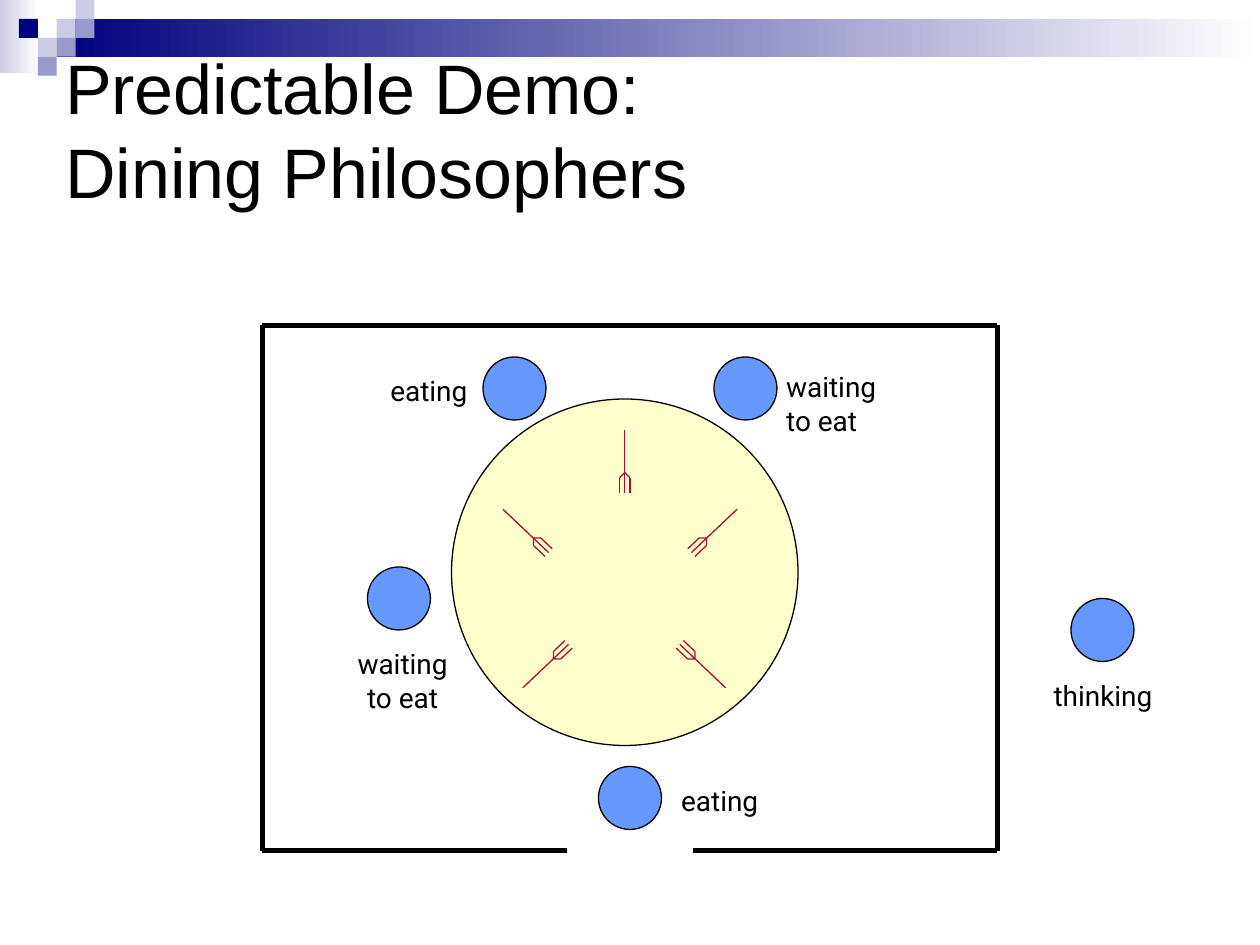
from dataclasses import dataclass
from math import cos, radians, sin

from lxml.etree import SubElement
from pptx import Presentation
from pptx.dml.color import RGBColor
from pptx.enum.shapes import MSO_CONNECTOR, MSO_SHAPE
from pptx.enum.text import MSO_ANCHOR, PP_ALIGN
from pptx.oxml.ns import qn
from pptx.util import Inches, Pt


@dataclass(frozen=True)
class Theme:
    ink: str = "000000"
    paper: str = "FFFFFF"
    navy: str = "00007D"
    mid: str = "9999CC"
    pale: str = "CCCCE6"
    table: str = "FFFFCC"
    person: str = "6699FF"
    fork: str = "AA0E37"
    title_font: str = "Arial"
    body_font: str = "Roboto"
    title_size: int = 40
    body_size: int = 16
    outline: float = 0.75
    wall: float = 3


def rgb(value):
    return RGBColor.from_string(value)


def write(tf, text, *, font, size, color, align=PP_ALIGN.LEFT, spacing=None):
    """Fill a text frame: a newline starts a paragraph, a vertical tab a line."""
    tf.text = text
    for p in tf.paragraphs:
        p.alignment = align
        p.line_spacing = spacing
        for r in p.runs:
            r.font.name = font
            r.font.size = Pt(size)
            r.font.color.rgb = rgb(color)


class Board:
    """Draws on one slide, measured in a grid of 120 columns by 90 rows."""

    COLS, ROWS = 120, 90

    def __init__(self, prs, theme):
        self.theme = theme
        self.s = prs.slides.add_slide(prs.slide_layouts[5])
        self.col = prs.slide_width / self.COLS
        self.row = prs.slide_height / self.ROWS

    def place(self, x, y, w, h):
        return (round(x * self.col), round(y * self.row),
                round(w * self.col), round(h * self.row))

    def shape(self, kind, x, y, w, h, fill, fade=None, line=None):
        sp = self.s.shapes.add_shape(kind, *self.place(x, y, w, h))
        sp.shadow.inherit = False
        if fade:
            sp.fill.gradient()
            sp.fill.gradient_angle = 0
            for stop, color in zip(sp.fill.gradient_stops, (fill, fade)):
                stop.color.rgb = rgb(color)
        else:
            sp.fill.solid()
            sp.fill.fore_color.rgb = rgb(fill)
        if line:
            sp.line.color.rgb = rgb(line)
            sp.line.width = Pt(self.theme.outline)
        else:
            sp.line.fill.background()

    def rect(self, *box, **style):
        self.shape(MSO_SHAPE.RECTANGLE, *box, **style)

    def circle(self, x, y, d, fill):
        self.shape(MSO_SHAPE.OVAL, x, y, d, d, fill, line=self.theme.ink)

    def lines(self, pairs, color, width):
        """Group straight lines, each given as two (column, row) points."""
        group = self.s.shapes.add_group_shape()
        for start, end in pairs:
            ln = group.shapes.add_connector(
                MSO_CONNECTOR.STRAIGHT, *self.place(*start, *end))
            ln.line.color.rgb = rgb(color)
            ln.line.width = Pt(width)
            SubElement(ln.element.spPr, qn("a:effectLst"))

    def fork(self, x, y, angle):
        """Draw a fork from the end of its handle, pointing along angle."""
        c, n = cos(radians(angle)), sin(radians(angle))

        def turn(along, across):
            return x + along * c - across * n, y + along * n + across * c

        neck = turn(4, 0)
        pairs = [(turn(0, 0), neck), (neck, turn(6, 0))]
        for side in (-0.5, 0.5):
            bend = turn(4.5, side)
            pairs += [(neck, bend), (bend, turn(6, side))]
        self.lines(pairs, self.theme.fork, self.theme.outline)

    def label(self, text, x, y, w, h, align=PP_ALIGN.LEFT):
        tf = self.s.shapes.add_textbox(*self.place(x, y, w, h)).text_frame
        tf.word_wrap = False
        write(tf, text, font=self.theme.body_font, size=self.theme.body_size,
              color=self.theme.ink, align=align)

    def title(self, text, x, y, w, h):
        sp = self.s.shapes.title
        self.s.shapes.element.append(sp.element)  # in front of the banner
        sp.left, sp.top, sp.width, sp.height = self.place(x, y, w, h)
        tf = sp.text_frame
        tf.word_wrap = True
        tf.vertical_anchor = MSO_ANCHOR.MIDDLE
        write(tf, text, font=self.theme.title_font, size=self.theme.title_size,
              color=self.theme.ink, spacing=Pt(48))


def main():
    prs = Presentation()
    prs.slide_width, prs.slide_height = Inches(10), Inches(7.5)
    theme = Theme()
    board = Board(prs, theme)

    # Banner: two fades and a mosaic of equal tiles
    tile = 1.8
    board.rect(0, 0, 3.7, 7, fill=theme.pale, fade=theme.paper)
    board.rect(3 * tile, tile, 120 - 3 * tile, 2 * tile,
               fill=theme.navy, fade=theme.paper)
    for col, row, color in [
        (3, 1, theme.pale), (4, 0, theme.pale), (4, 1, theme.mid),
        (2, 2, theme.pale), (1, 1, theme.navy), (3, 2, theme.mid),
        (2, 3, theme.mid),
    ]:
        board.rect(col * tile, row * tile, tile, tile, fill=color)

    # Table and title
    board.circle(43, 38, 33, theme.table)
    board.title("Predictable Demo: \vDining Philosophers", 5, 3, 110.6, 18.5)

    # Room with a door in its lower wall
    left, top, right, bottom = 25, 31, 95, 81
    door = 54, 66
    board.lines([
        ((left, top), (left, bottom)),
        ((left, bottom), (door[0], bottom)),
        ((left, top), (right, top)),
        ((right, top), (right, bottom)),
        ((door[1], bottom), (right, bottom)),
    ], theme.ink, theme.wall)

    # Forks, all pointing to the middle of the table
    tilt = 43.5
    for x, y, angle in [
        (59.5, 41, 90), (47.9, 48.5, tilt), (70.2, 48.5, 180 - tilt),
        (49.8, 65.5, -tilt), (69.1, 65.5, tilt - 180),
    ]:
        board.fork(x, y, angle)

    # Philosophers
    for x, y in [(35, 54), (46, 34), (68, 34), (57, 73), (102, 57)]:
        board.circle(x, y, 6, theme.person)

    # What each philosopher is doing
    board.label("eating", 36, 35, 10.3, 4.4)
    board.label("eating", 63.7, 74, 10.3, 4.4)
    board.label("waiting\nto eat", 73.7, 34.6, 11.5, 7.7)
    board.label("waiting\nto eat", 32.6, 61, 11.5, 7.7, PP_ALIGN.CENTER)
    board.label("thinking", 98.7, 64, 12.7, 4.4, PP_ALIGN.CENTER)

    prs.save("out.pptx")


if __name__ == "__main__":
    main()
